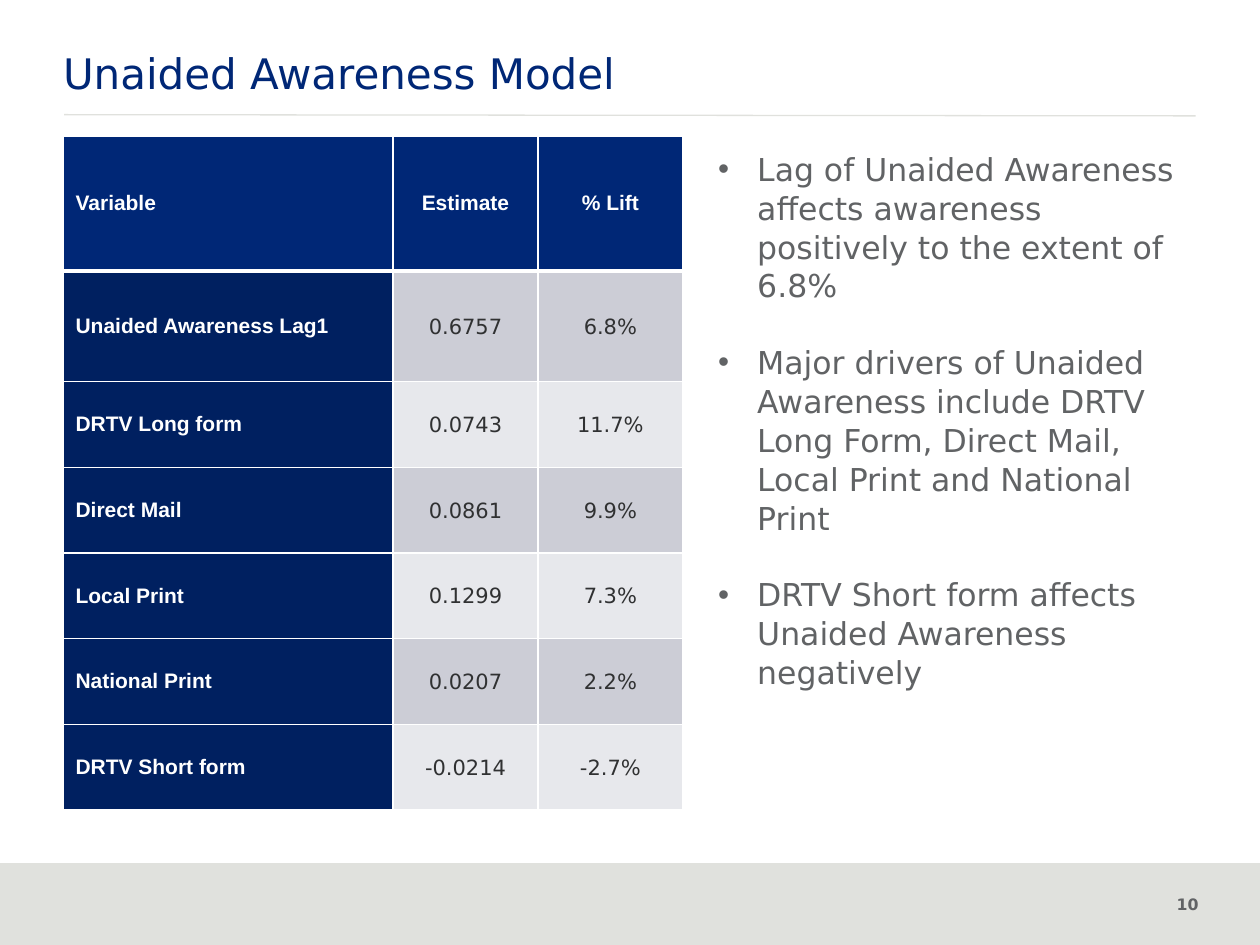
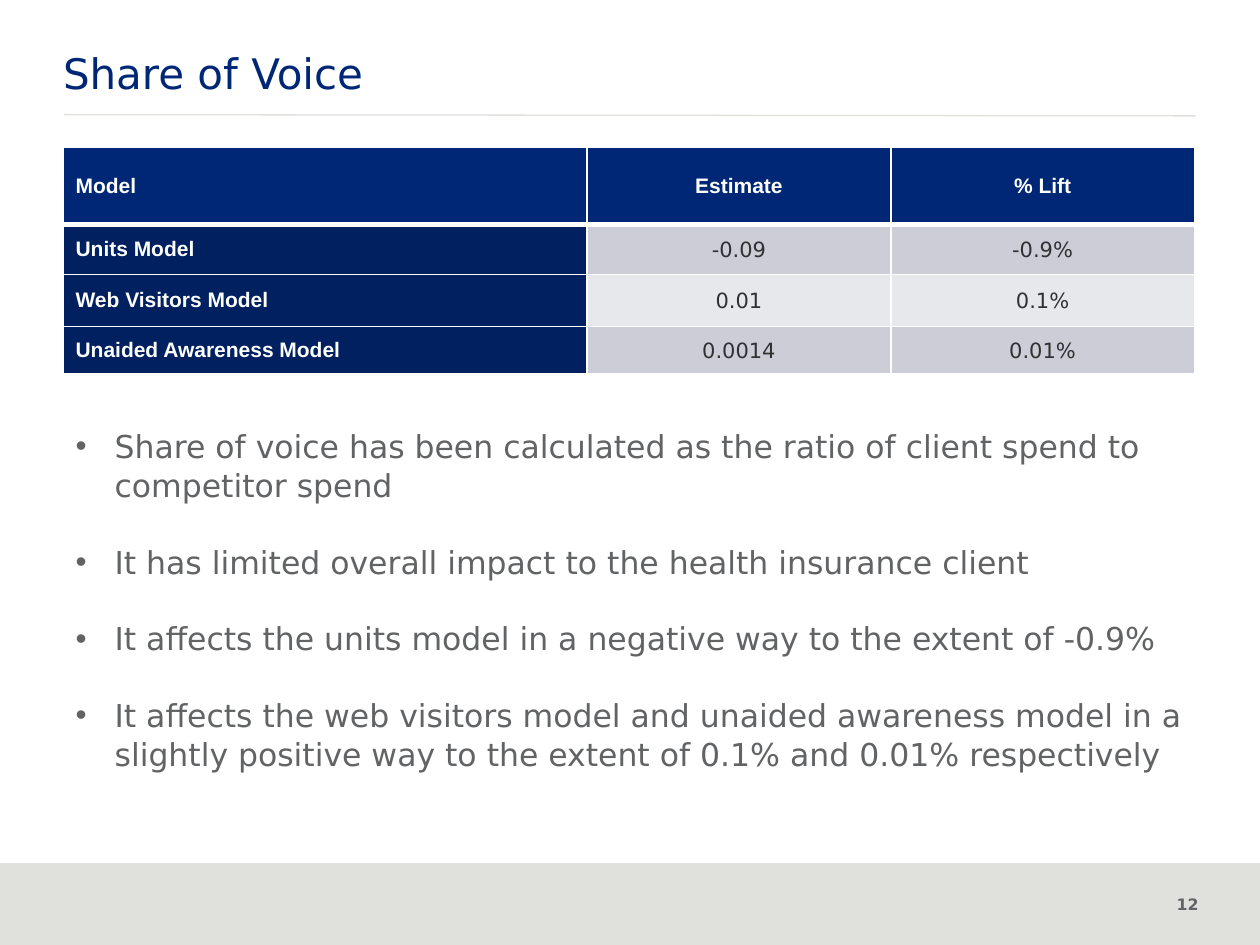
from pptx import Presentation
from pptx.dml.color import RGBColor
from pptx.enum.shapes import MSO_CONNECTOR, MSO_SHAPE
from pptx.enum.text import MSO_ANCHOR, MSO_AUTO_SIZE, PP_ALIGN
from pptx.oxml.ns import qn
from pptx.util import Inches, Pt
from lxml.etree import SubElement

NAVY = RGBColor(0x00, 0x27, 0x76)
DARK_NAVY = RGBColor(0x00, 0x20, 0x60)
GREY = RGBColor(0x61, 0x63, 0x65)
CHARCOAL = RGBColor(0x30, 0x31, 0x32)
STONE = RGBColor(0xE0, 0xE1, 0xDD)
WHITE = RGBColor(0xFF, 0xFF, 0xFF)
ROW_TINTS = (RGBColor(0xCC, 0xCD, 0xD6), RGBColor(0xE7, 0xE8, 0xEC))

BODY_FONT = "DejaVu Sans"
LABEL_FONT = "Arial"
LEFT = 0.5
CONTENT_WIDTH = 8.99


def set_font(paragraph, size, color, name=BODY_FONT, bold=False):
    font = paragraph.font
    font.size, font.name, font.bold = Pt(size), name, bold
    font.color.rgb = color


def place(shape, left, top, width, height):
    shape.left, shape.top = Inches(left), Inches(top)
    shape.width, shape.height = Inches(width), Inches(height)


def add_frame(slide, number):
    """Draw the footer band, page number and rule under the title."""
    band = slide.shapes.add_shape(
        MSO_SHAPE.RECTANGLE, 0, Inches(6.85), Inches(10), Inches(0.65))
    band.shadow.inherit = False
    band.fill.solid()
    band.fill.fore_color.rgb = STONE
    band.line.fill.background()

    page_box = slide.shapes.add_textbox(
        Inches(8.99), Inches(7.05), Inches(0.62), Inches(0.4))
    page_box.text_frame.word_wrap = True
    page = page_box.text_frame.paragraphs[0]
    page.text = str(number)
    page.alignment = PP_ALIGN.RIGHT
    set_font(page, 9, GREY, bold=True)

    rule = slide.shapes.add_connector(
        MSO_CONNECTOR.STRAIGHT,
        Inches(0.51), Inches(0.91), Inches(9.49), Inches(0.92))
    rule.line.color.rgb = STONE
    rule.line.width = Pt(0.75)
    SubElement(rule._element.spPr, qn("a:effectLst"))


def set_title(slide, text):
    title = slide.shapes.title
    place(title, LEFT, 0.38, CONTENT_WIDTH, 0.69)
    frame = title.text_frame
    frame.text = text
    frame.auto_size = MSO_AUTO_SIZE.NONE
    frame.vertical_anchor = MSO_ANCHOR.TOP
    frame.margin_left = frame.margin_right = 0
    frame.margin_top = frame.margin_bottom = 0
    frame.paragraphs[0].alignment = PP_ALIGN.LEFT
    set_font(frame.paragraphs[0], 24, NAVY)


def set_bullets(slide, bounds, points):
    body = slide.placeholders[1]
    place(body, *bounds)
    frame = body.text_frame
    frame.text = "\n".join(points)
    frame.auto_size = MSO_AUTO_SIZE.NONE
    for point in frame.paragraphs:
        set_font(point, 18, GREY)
        point.line_spacing = 1.03
        point.space_before = Pt(0)
        point.space_after = Pt(21.6)
        properties = point._p.get_or_add_pPr()
        properties.set("marL", str(Inches(0.31)))
        properties.set("indent", str(-Inches(0.31)))


def add_borders(cell, top, bottom):
    """Add white borders; top and bottom are widths in points."""
    properties = cell._tc.get_or_add_tcPr()
    for side, width in (("L", 1), ("R", 1), ("T", top), ("B", bottom)):
        line = SubElement(properties, qn(f"a:ln{side}"), w=str(Pt(width)))
        fill = SubElement(line, qn("a:solidFill"))
        SubElement(fill, qn("a:srgbClr"), val=str(WHITE))


def format_cell(cell, text, row, column):
    is_header, is_label = row == 0, column == 0
    add_borders(cell, top=3 if row == 1 else 1, bottom=3 if is_header else 1)
    cell.text = text
    cell.vertical_anchor = MSO_ANCHOR.MIDDLE
    paragraph = cell.text_frame.paragraphs[0]
    paragraph.alignment = PP_ALIGN.LEFT if is_label else PP_ALIGN.CENTER
    cell.fill.solid()
    if is_header or is_label:
        set_font(paragraph, 12, WHITE, LABEL_FONT, bold=True)
        cell.fill.fore_color.rgb = NAVY if is_header else DARK_NAVY
    else:
        set_font(paragraph, 12, CHARCOAL)
        cell.fill.fore_color.rgb = ROW_TINTS[(row - 1) % 2]
        cell.margin_left = cell.margin_right = cell.margin_top = Inches(0.01)
        cell.margin_bottom = 0


def add_estimates(slide, top, column_widths, row_heights, records):
    """Add a table of estimates and lifts with a header row and label column."""
    table = slide.shapes.add_table(
        len(records), len(column_widths), Inches(LEFT), Inches(top),
        Inches(sum(column_widths)), Inches(sum(row_heights))).table
    for column, width in zip(table.columns, column_widths):
        column.width = Inches(width)
    for row, height in zip(table.rows, row_heights):
        row.height = Inches(height)
    for r, record in enumerate(records):
        for c, text in enumerate(record):
            format_cell(table.cell(r, c), text, r, c)


def add_slide(deck, title, number):
    slide = deck.slides.add_slide(deck.slide_layouts[1])
    add_frame(slide, number)
    set_title(slide, title)
    return slide


def main():
    deck = Presentation()
    deck.slide_width, deck.slide_height = Inches(10), Inches(7.5)

    awareness = add_slide(deck, "Unaided Awareness Model", 10)
    add_estimates(awareness, 1.08, [2.62, 1.15, 1.15], [1.07, 0.88] + [0.68] * 5, [
        ("Variable", "Estimate", "% Lift"),
        ("Unaided Awareness Lag1", "0.6757", "6.8%"),
        ("DRTV Long form", "0.0743", "11.7%"),
        ("Direct Mail", "0.0861", "9.9%"),
        ("Local Print", "0.1299", "7.3%"),
        ("National Print", "0.0207", "2.2%"),
        ("DRTV Short form", "-0.0214", "-2.7%"),
    ])
    set_bullets(awareness, (5.6, 1.13, 3.99, 4.95), [
        "Lag of Unaided Awareness affects awareness positively to the extent of 6.8%",
        "Major drivers of Unaided Awareness include DRTV Long Form, Direct Mail, "
        "Local Print and National Print",
        "DRTV Short form affects Unaided Awareness negatively",
    ])

    voice = add_slide(deck, "Share of Voice", 12)
    add_estimates(voice, 1.17, [4.16, 2.41, 2.41], [0.61, 0.4, 0.41, 0.38], [
        ("Model", "Estimate", "% Lift"),
        ("Units Model", "-0.09", "-0.9%"),
        ("Web Visitors Model", "0.01", "0.1%"),
        ("Unaided Awareness Model", "0.0014", "0.01%"),
    ])
    set_bullets(voice, (LEFT, 3.33, CONTENT_WIDTH, 3.13), [
        "Share of voice has been calculated as the ratio of client spend to "
        "competitor spend",
        "It has limited overall impact to the health insurance client",
        "It affects the units model in a negative way to the extent of -0.9%",
        "It affects the web visitors model and unaided awareness model in a "
        "slightly positive way to the extent of 0.1% and 0.01% respectively",
    ])

    deck.save("out.pptx")


if __name__ == "__main__":
    main()
